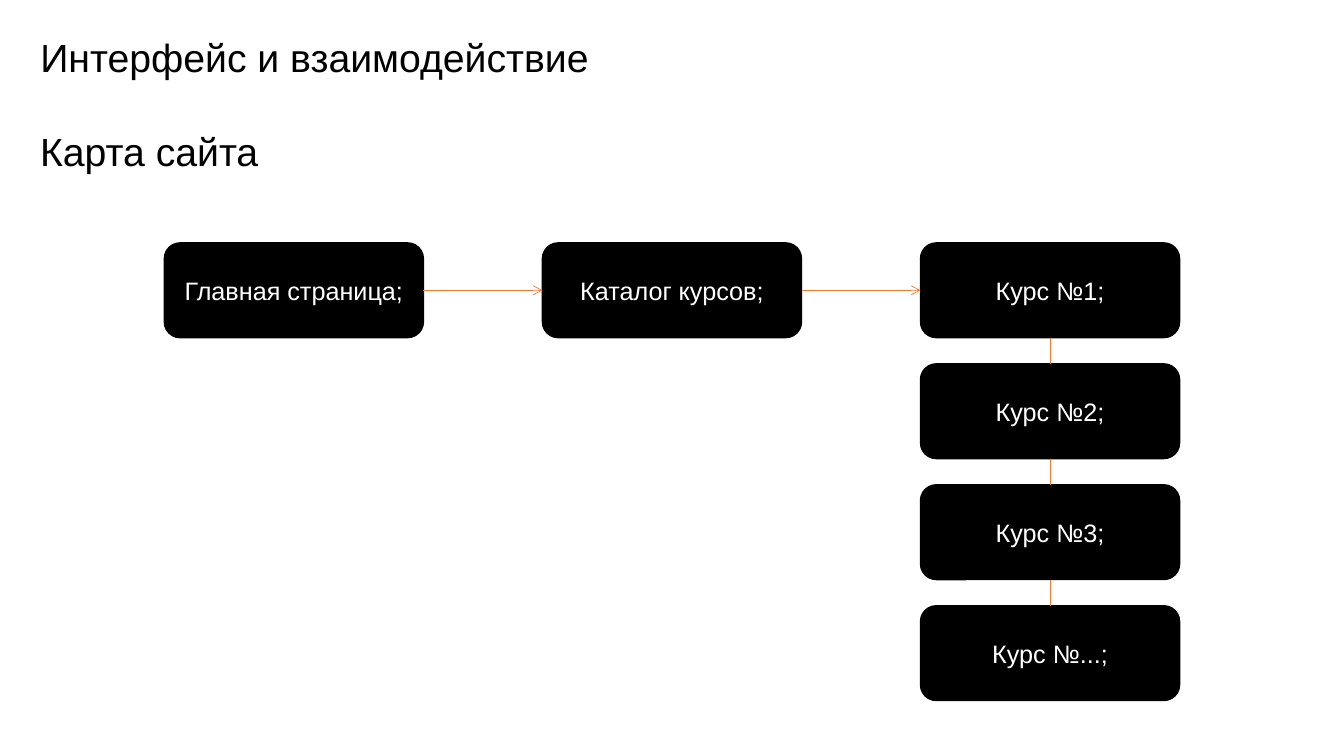
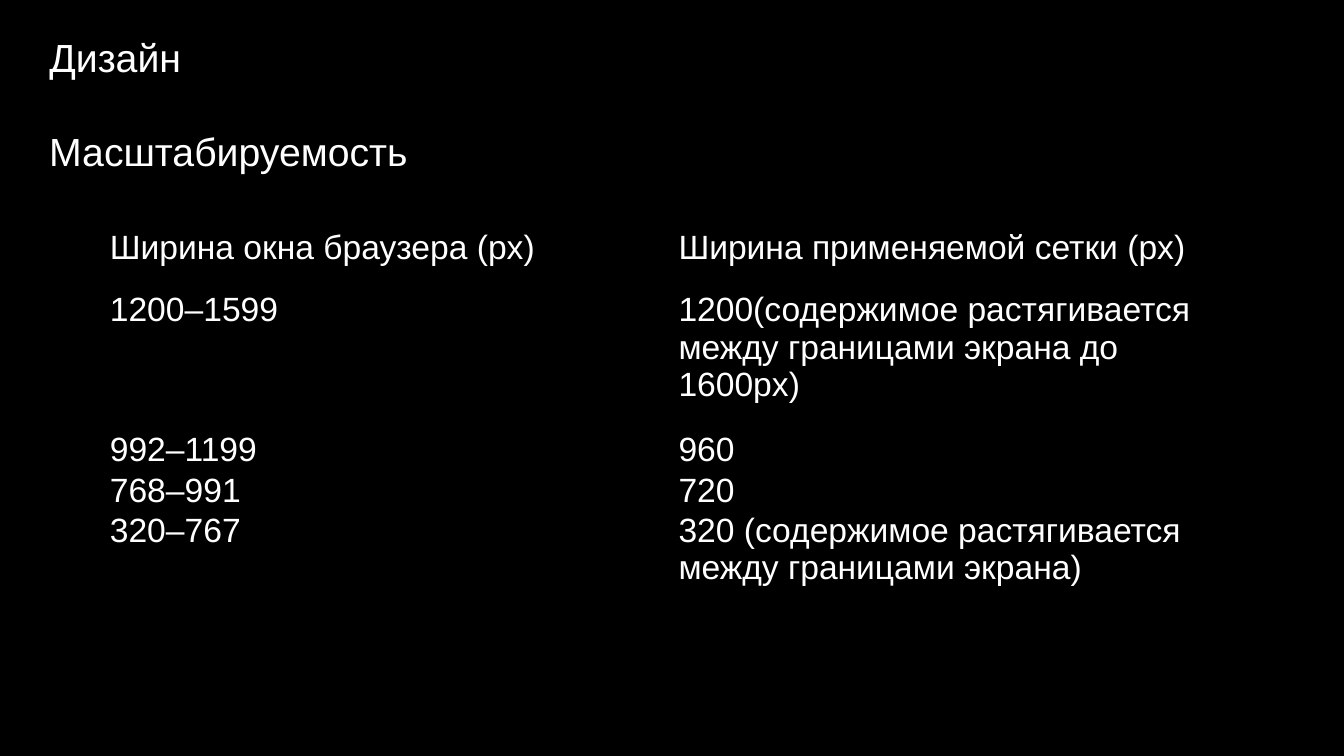
from dataclasses import dataclass
from itertools import pairwise

import pptx
import pptx.dml.color
import pptx.enum.shapes
import pptx.enum.text
import pptx.oxml.ns
import pptx.util
from lxml import etree

Inches = pptx.util.Inches
qn = pptx.oxml.ns.qn

NO_STYLE_NO_GRID = "{2D5ABB26-0587-4C30-8999-92F81FD0307C}"
TOP_SITE, LEFT_SITE, BOTTOM_SITE, RIGHT_SITE = range(4)


@dataclass(frozen=True)
class Theme:
    font: str = "Arial"
    black: str = "000000"
    white: str = "FFFFFF"
    accent: str = "ED7D31"
    heading_size: int = 28
    table_size: int = 24
    label_size: int = 18
    node_line: float = 1
    link_line: float = 0.5


def rgb(value):
    return pptx.dml.color.RGBColor.from_string(value)


class Deck:
    def __init__(self, theme):
        self.theme = theme
        self.presentation = pptx.Presentation()
        self.presentation.slide_width = Inches(13.33)
        self.presentation.slide_height = Inches(7.5)
        self.slide = None
        self.ink = theme.black

    def start_slide(self, title, subtitle, left, ground, ink):
        layout = self.presentation.slide_layouts.get_by_name("Title Only")
        self.slide = self.presentation.slides.add_slide(layout)
        self.ink = ink
        fill = self.slide.background.fill
        fill.solid()
        fill.fore_color.rgb = rgb(ground)

        self.heading(self.slide.shapes.title, title, left, 0.28)
        section = self.slide.shapes.add_textbox(0, 0, 0, 0)
        self.heading(section, subtitle, left, 1.21)

    def heading(self, holder, text, left, top):
        holder.left, holder.top = Inches(left), Inches(top)
        holder.width, holder.height = Inches(12), Inches(0.57)
        frame = holder.text_frame
        frame.word_wrap = True
        frame.auto_size = pptx.enum.text.MSO_AUTO_SIZE.NONE
        frame.vertical_anchor = pptx.enum.text.MSO_ANCHOR.TOP
        self.set_text(frame, text, self.theme.heading_size, self.ink)

    def set_text(self, frame, text, size, color,
                 align=pptx.enum.text.PP_ALIGN.LEFT):
        frame.text = text
        paragraph = frame.paragraphs[0]
        paragraph.alignment = align
        font = paragraph.runs[0].font
        font.name = self.theme.font
        font.size = pptx.util.Pt(size)
        font.color.rgb = rgb(color)

    def node(self, label, left, top):
        page = self.slide.shapes.add_shape(
            pptx.enum.shapes.MSO_SHAPE.ROUNDED_RECTANGLE,
            Inches(left), Inches(top), Inches(2.57), Inches(0.94))
        page.shadow.inherit = False
        page.fill.solid()
        page.fill.fore_color.rgb = rgb(self.theme.black)
        page.line.color.rgb = rgb(self.theme.black)
        page.line.width = pptx.util.Pt(self.theme.node_line)
        page.text_frame.word_wrap = True
        page.text_frame.vertical_anchor = pptx.enum.text.MSO_ANCHOR.MIDDLE
        self.set_text(page.text_frame, label, self.theme.label_size,
                      self.theme.white, pptx.enum.text.PP_ALIGN.CENTER)
        return page

    def link(self, source, source_site, target, target_site, arrow=False):
        connector = self.slide.shapes.add_connector(
            pptx.enum.shapes.MSO_CONNECTOR.STRAIGHT, 0, 0, 0, 0)
        connector.begin_connect(source, source_site)
        connector.end_connect(target, target_site)
        connector.line.color.rgb = rgb(self.theme.accent)
        connector.line.width = pptx.util.Pt(self.theme.link_line)
        properties = connector.element.spPr
        if arrow:
            etree.SubElement(properties.find(qn("a:ln")), qn("a:tailEnd"),
                             type="arrow")
        etree.SubElement(properties, qn("a:effectLst"))

    def table(self, rows, left, top, column_width, row_heights):
        frame = self.slide.shapes.add_table(
            len(rows), len(rows[0]), Inches(left), Inches(top),
            Inches(column_width * len(rows[0])), Inches(sum(row_heights)))
        frame.element.find(".//" + qn("a:tableStyleId")).text = NO_STYLE_NO_GRID
        grid = frame.table
        grid.first_row = grid.horz_banding = False
        for column in grid.columns:
            column.width = Inches(column_width)
        for row, height, texts in zip(grid.rows, row_heights, rows):
            row.height = Inches(height)
            for cell, text in zip(row.cells, texts):
                cell.fill.background()
                cell.margin_left = cell.margin_right = Inches(0.07)
                cell.margin_top = cell.margin_bottom = 0
                self.set_text(cell.text_frame, text, self.theme.table_size,
                              self.ink)


def build_site_map(deck):
    deck.start_slide("Интерфейс и взаимодействие", "Карта сайта", 0.3,
                     ground=deck.theme.white, ink=deck.theme.black)
    left, top, column_step, row_step = 1.63, 2.41, 3.75, 1.2
    home, catalogue = (
        deck.node(label, left + column_step * index, top)
        for index, label in enumerate(["Главная страница;", "Каталог курсов;"]))
    courses = [
        deck.node(f"Курс №{number};", left + column_step * 2,
                  top + row_step * index)
        for index, number in enumerate(["1", "2", "3", "..."])]

    for source, target in pairwise([home, catalogue, courses[0]]):
        deck.link(source, RIGHT_SITE, target, LEFT_SITE, arrow=True)
    for upper, lower in pairwise(courses):
        deck.link(upper, BOTTOM_SITE, lower, TOP_SITE)


def build_scalability(deck):
    deck.start_slide("Дизайн", "Масштабируемость", 0.39,
                     ground=deck.theme.black, ink=deck.theme.white)
    breakpoints = [
        ("Ширина окна браузера (px)", "Ширина применяемой сетки (px)"),
        ("1200–1599",
         "1200(содержимое растягивается между границами экрана до 1600px)"),
        ("992–1199", "960"),
        ("768–991", "720"),
        ("320–767", "320 (содержимое растягивается между границами экрана)"),
    ]
    deck.table(breakpoints, 1.02, 2.27, column_width=5.64,
               row_heights=[0.62, 1.39, 0.4, 0.4, 1.17])


def main():
    deck = Deck(Theme())
    build_site_map(deck)
    build_scalability(deck)
    deck.presentation.save("out.pptx")


if __name__ == "__main__":
    main()
